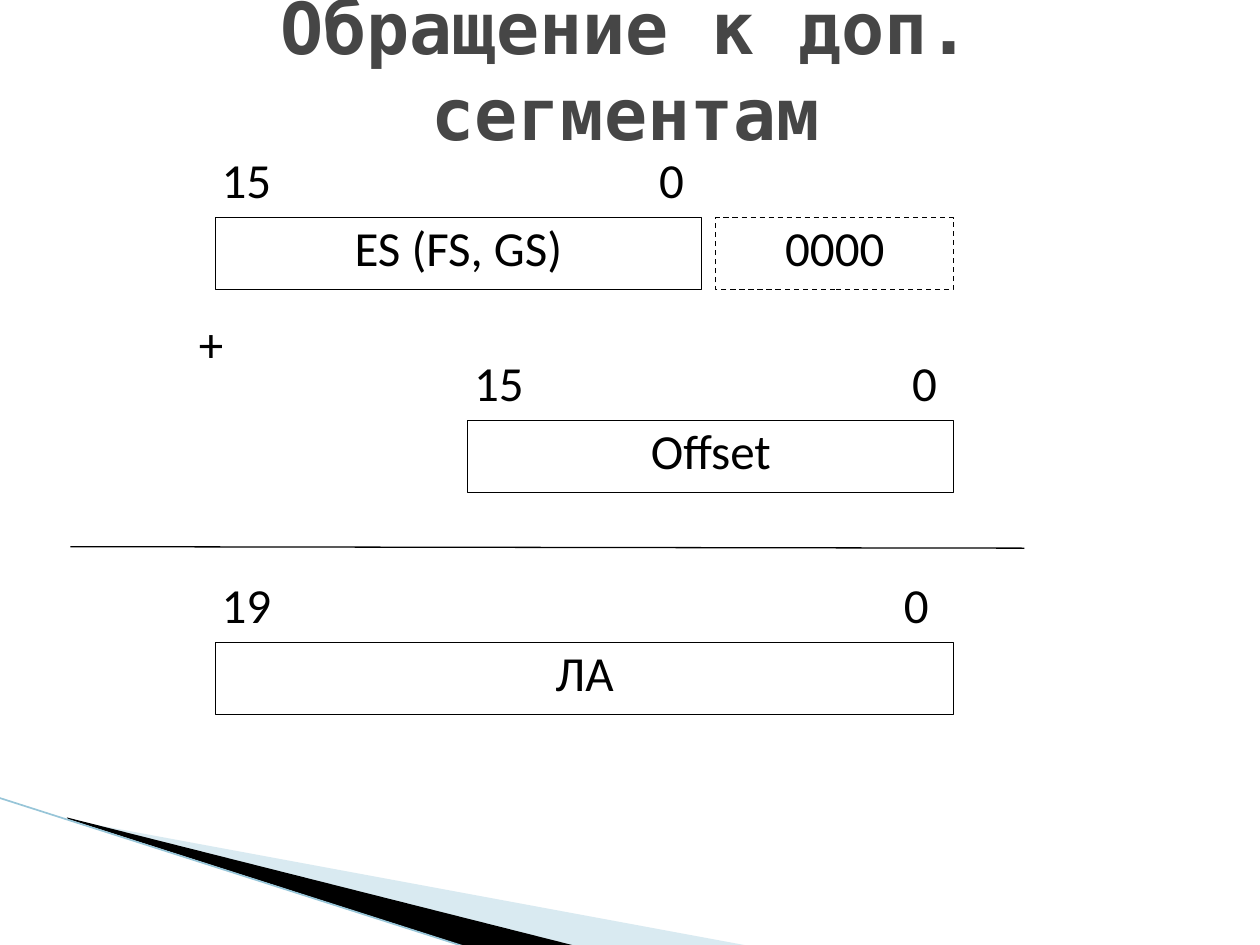
"""Build the slide on addressing additional segments."""
from lxml.etree import SubElement
from pptx import Presentation
from pptx.dml.color import RGBColor
from pptx.enum.dml import MSO_LINE
from pptx.enum.shapes import MSO_CONNECTOR, MSO_SHAPE
from pptx.enum.text import MSO_ANCHOR, MSO_AUTO_SIZE, PP_ALIGN
from pptx.oxml.ns import qn
from pptx.util import Cm, Pt

BLACK = RGBColor(0x00, 0x00, 0x00)
WHITE = RGBColor(0xFF, 0xFF, 0xFF)
GRAY = RGBColor(0x46, 0x46, 0x46)
PALE_BLUE = RGBColor(0xA0, 0xCB, 0xDC)
EDGE_BLUE = RGBColor(0x97, 0xC5, 0xD8)

TITLE_FONT = {"name": "DejaVu Sans Mono", "size": Pt(41), "bold": True}
BODY_FONT = {"name": "Calibri", "size": Pt(28), "bold": False}
TITLE_FRAME = {
    "word_wrap": True,
    "auto_size": MSO_AUTO_SIZE.NONE,
    "vertical_anchor": MSO_ANCHOR.MIDDLE,
    "margin_left": Cm(0.75),
    "margin_right": Cm(0.75),
}
BODY_FRAME = {
    "word_wrap": True,
    "vertical_anchor": MSO_ANCHOR.TOP,
    "margin_left": 0,
    "margin_right": 0,
    "margin_top": 0,
    "margin_bottom": 0,
}

BOX_HEIGHT = 1.45
LABEL_HEIGHT = 1.19
LABEL_RISE = 1.37
LABEL_INDENT = 0.13
REGISTER_WIDTH = 9.8
LEFT_EDGE = 4.34
RIGHT_EDGE = 19.23


class SegmentSlide:
    """Hold the style and the slide being drawn."""

    def __init__(self, presentation):
        self.slide = presentation.slides.add_slide(presentation.slide_layouts[5])

    def apply(self, target, values):
        for name, value in values.items():
            setattr(target, name, value)

    def set_text(self, shape, text, frame_values, font_values, color, alignment):
        frame = shape.text_frame
        self.apply(frame, frame_values)
        frame.text = text
        paragraph = frame.paragraphs[0]
        paragraph.alignment = alignment
        self.apply(paragraph.font, font_values)
        paragraph.font.color.rgb = color

    def title(self, text, left, top, width, height):
        shape = self.slide.shapes.title
        self.apply(shape, {"left": Cm(left), "top": Cm(top),
                           "width": Cm(width), "height": Cm(height)})
        self.set_text(shape, text, TITLE_FRAME, TITLE_FONT, GRAY, PP_ALIGN.CENTER)

    def wedge(self, points, color, opacity=100):
        start, *others = [(Cm(x), Cm(y)) for x, y in points]
        builder = self.slide.shapes.build_freeform(*start)
        builder.add_line_segments(others, close=True)
        shape = builder.convert_to_shape()
        shape.shadow.inherit = False
        shape.fill.solid()
        shape.fill.fore_color.rgb = color
        shape.line.fill.background()
        if opacity < 100:
            color_element = shape._element.spPr.find(qn("a:solidFill"))[0]
            SubElement(color_element, qn("a:alpha"), val=str(opacity * 1000))

    def line(self, start, end, color, width):
        connector = self.slide.shapes.add_connector(
            MSO_CONNECTOR.STRAIGHT, *[Cm(value) for value in start + end])
        connector.line.color.rgb = color
        connector.line.width = Pt(width)
        SubElement(connector._element.spPr, qn("a:effectLst"))

    def block(self, text, left, top, width, height, alignment=PP_ALIGN.CENTER):
        shape = self.slide.shapes.add_shape(
            MSO_SHAPE.RECTANGLE, Cm(left), Cm(top), Cm(width), Cm(height))
        shape.shadow.inherit = False
        shape.fill.solid()
        shape.fill.fore_color.rgb = WHITE
        shape.line.fill.background()
        self.set_text(shape, text, BODY_FRAME, BODY_FONT, BLACK, alignment)
        return shape

    def box(self, text, left, top, width, dash=None):
        shape = self.block(text, left, top, width, BOX_HEIGHT)
        shape.line.color.rgb = BLACK
        shape.line.width = Pt(0.75)
        if dash:
            shape.line.dash_style = dash

    def register(self, text, high_bit, left, top, width, low_bit_left):
        self.box(text, left, top, width)
        label_top = top - LABEL_RISE
        self.block(high_bit, left + LABEL_INDENT, label_top, 1.45, LABEL_HEIGHT,
                   PP_ALIGN.LEFT)
        self.block("0", low_bit_left, label_top, 1.22, LABEL_HEIGHT)


def main():
    presentation = Presentation()
    presentation.slide_width = Cm(25.4)
    presentation.slide_height = Cm(19.05)
    page = SegmentSlide(presentation)

    page.wedge([(1.4, 16.53), (15.11, 19.07), (11.58, 19.07), (1.4, 16.51)],
               PALE_BLUE, 40)
    page.wedge([(1.35, 16.48), (11.61, 19.07), (9.45, 19.1), (1.37, 16.51)], BLACK)
    page.line((-0.03, 16.08), (9.42, 19.1), EDGE_BLUE, 0.95)
    page.title("Обращение к доп. сегментам", 1.19, 0, 22.86, 2.77)

    offset_left = RIGHT_EDGE - REGISTER_WIDTH
    page.register("ES (FS, GS)", "15", LEFT_EDGE, 4.39, REGISTER_WIDTH, 12.93)
    page.box("0000", 14.43, 4.39, 4.8, MSO_LINE.DASH)
    page.register("Offset", "15", offset_left, 8.48, REGISTER_WIDTH, 18.03)
    page.block("+", 4.01, 6.32, 0.74, LABEL_HEIGHT, PP_ALIGN.LEFT)
    page.register("ЛА", "19", LEFT_EDGE, 12.95, RIGHT_EDGE - LEFT_EDGE, 17.86)
    page.line((1.42, 11.02), (20.65, 11.05), BLACK, 0.75)

    presentation.save("out.pptx")


if __name__ == "__main__":
    main()
